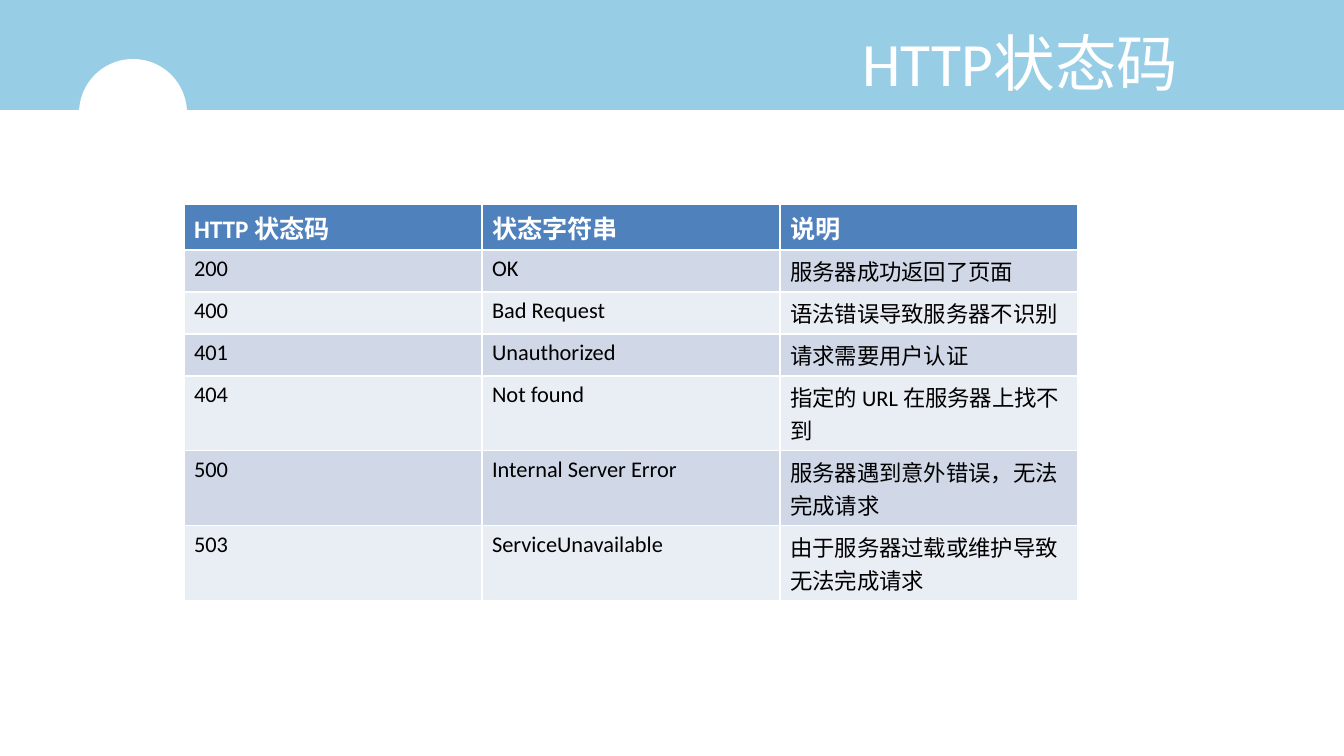
from pptx import Presentation
from pptx import util as u
from pptx.dml.color import RGBColor
from pptx.enum import shapes, text

SKY = RGBColor(0x97, 0xCD, 0xE5)
WHITE = RGBColor(0xFF, 0xFF, 0xFF)
BLACK = RGBColor(0x00, 0x00, 0x00)
HEADER_BLUE = RGBColor(0x4F, 0x81, 0xBD)
BANDS = (RGBColor(0xD0, 0xD8, 0xE8), RGBColor(0xE9, 0xED, 0xF4))

STATUS_CODES = [
    ("HTTP 状态码", "状态字符串", "说明"),
    ("200", "OK", "服务器成功返回了页面"),
    ("400", "Bad Request", "语法错误导致服务器不识别"),
    ("401", "Unauthorized", "请求需要用户认证"),
    ("404", "Not found", "指定的 URL 在服务器上找不到"),
    ("500", "Internal Server Error", "服务器遇到意外错误，无法完成请求"),
    ("503", "ServiceUnavailable", "由于服务器过载或维护导致无法完成请求"),
]
ROW_HEIGHTS = [46] + [42] * 3 + [75] * 3


def px(length):
    return u.Emu(round(length * 12192000 / 1344))


class StatusPage:
    font_name = "Calibri"

    def __init__(self, deck):
        self.page = deck.slides.add_slide(deck.slide_layouts[6])

    def shape(self, kind, left, top, width, height, color):
        shape = self.page.shapes.add_shape(
            kind, px(left), px(top), px(width), px(height))
        shape.shadow.inherit = False
        shape.fill.solid()
        shape.fill.fore_color.rgb = color
        shape.line.fill.background()

    def style(self, para, size, color, bold=False):
        para.font.name = self.font_name
        para.font.size = u.Pt(size)
        para.font.bold = bold
        para.font.color.rgb = color

    def title(self, words, left, top, width, height):
        box = self.page.shapes.add_textbox(
            px(left), px(top), px(width), px(height))
        frame = box.text_frame
        frame.word_wrap = True
        frame.vertical_anchor = text.MSO_ANCHOR.MIDDLE
        para = frame.paragraphs[0]
        para.text = words
        para.alignment = text.PP_ALIGN.CENTER
        self.style(para, 44, WHITE)

    def table(self, rows, left, top, column_width, row_heights):
        columns = len(rows[0])
        table = self.page.shapes.add_table(
            len(rows), columns, px(left), px(top),
            px(column_width * columns), px(sum(row_heights))).table
        for row, (words, height) in enumerate(zip(rows, row_heights)):
            table.rows[row].height = px(height)
            header = row == 0
            for column, word in enumerate(words):
                cell = table.cell(row, column)
                cell.fill.solid()
                cell.fill.fore_color.rgb = HEADER_BLUE if header else BANDS[(row - 1) % 2]
                para = cell.text_frame.paragraphs[0]
                para.text = word
                self.style(para, 18 if header else 16,
                           WHITE if header else BLACK, bold=header)


def main():
    deck = Presentation()
    deck.slide_width, deck.slide_height = px(1344), px(756)
    page = StatusPage(deck)
    page.shape(shapes.MSO_SHAPE.RECTANGLE, 0, 0, 1344, 110, SKY)
    page.shape(shapes.MSO_SHAPE.OVAL, 79, 59, 108, 108, WHITE)
    page.title("HTTP状态码", 764, 11, 513, 101)
    page.table(STATUS_CODES, 184, 204, 298, ROW_HEIGHTS)
    deck.save("out.pptx")


if __name__ == "__main__":
    main()
